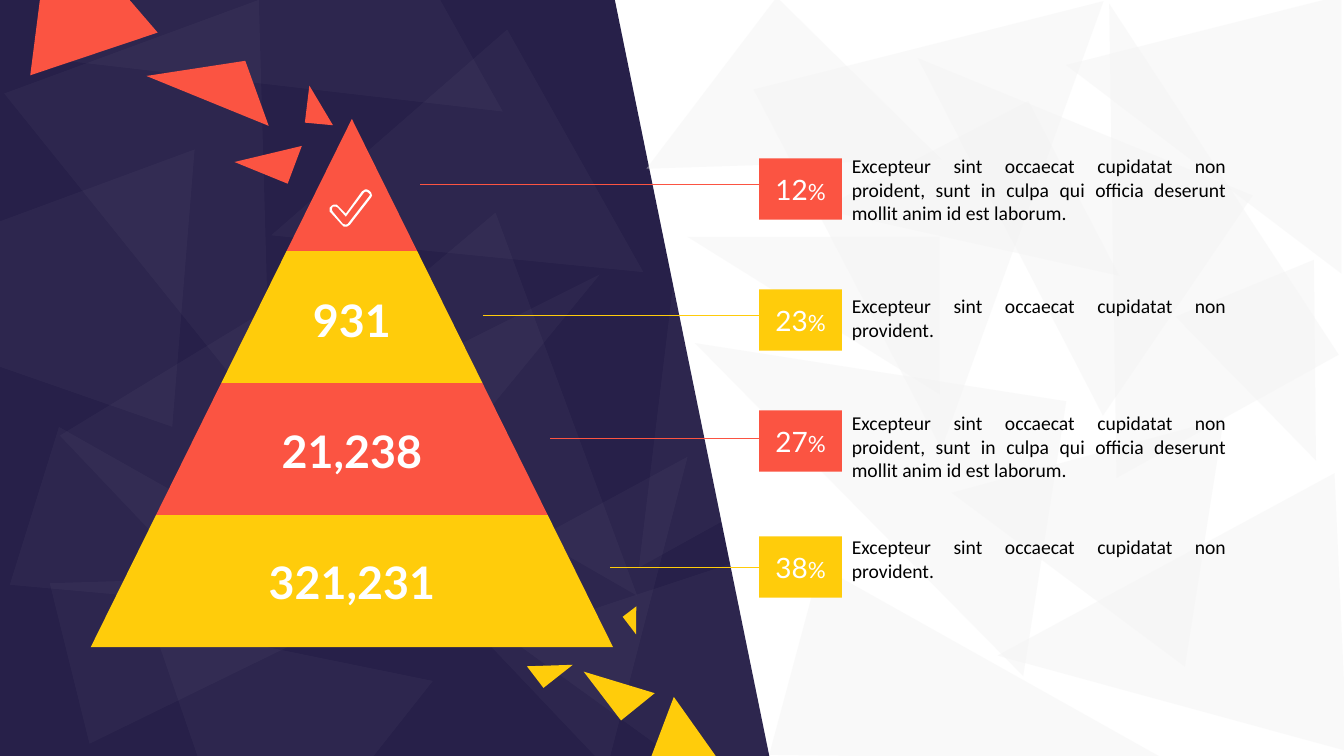
from lxml import etree
from pptx import Presentation
from pptx.dml.color import RGBColor
from pptx.enum.shapes import MSO_CONNECTOR, MSO_SHAPE
from pptx.enum.text import MSO_ANCHOR, MSO_AUTO_SIZE, PP_ALIGN
from pptx.oxml.ns import qn
from pptx.util import Inches, Pt

TRIANGLE = MSO_SHAPE.ISOSCELES_TRIANGLE
RECTANGLE = MSO_SHAPE.RECTANGLE
SLANTED_PANEL = MSO_SHAPE.FLOWCHART_MANUAL_INPUT
STRAIGHT = MSO_CONNECTOR.STRAIGHT
CENTER, JUSTIFY = PP_ALIGN.CENTER, PP_ALIGN.JUSTIFY
MIDDLE = MSO_ANCHOR.MIDDLE
GROW = MSO_AUTO_SIZE.SHAPE_TO_FIT_TEXT

COLORS = {"navy": "272049", "red": "FB5442", "yellow": "FFCC0B",
          "white": "FFFFFF", "black": "000000", "mist": "F2F2F2"}

LONG = ("Excepteur sint occaecat cupidatat non proident, sunt in culpa "
        "qui officia deserunt mollit anim id est laborum.")
SHORT = "Excepteur sint occaecat cupidatat non provident."

MIST_SHARDS = [
    (9.44, 3.91, 2.49, 2.55, 278.9, 0.54), (7.14, 3.19, 2.76, 3.73, 278.9, 1),
    (9.91, 0.24, 2.52, 4.15, 331, 0.88), (6.63, 0.47, 2.29, 2.12, 224.6, 0.88),
    (7.9, 0.39, 3.58, 3.91, 165.8, 0.74), (10.21, 4.44, 2.76, 3.42, 267.4, 0.4),
    (7.29, 1.88, 1.56, 2.5, 270, 1), (10.56, -0.03, 2.76, 2.73, 270, 0.75),
    (8.75, 5.14, 1.94, 3.81, 105, 0.5), (11.96, 2.79, 1.48, 1.85, 157.6, 0.5),
    (8.91, 0.29, 2.64, 3.51, 304.2, 0.72), (8.46, 1.43, 2.32, 1.95, 152.5, 0),
]
NAVY_SHARDS = [
    (1.34, 3.68, 1.64, 3.81, 107.3, 0.5), (1.72, 4.22, 1.64, 3.81, 76.1, 0.5),
    (0.65, 0.34, 2.69, 4, 159.8, 0.5), (1.72, 1.7, 1.64, 3.81, 46.5, 0.5),
    (4.96, 4.46, 2.42, 2.71, 46.5, 0.3), (3.71, 2.55, 2.76, 3.81, 139.8, 0.5),
    (5.89, 3.68, 2.76, 3.81, 35.8, 1), (5.24, 1.39, 2.76, 3.81, 331, 1),
    (3, 0.72, 2.76, 3.04, 240.7, 0.77), (7.29, 1.88, 1.56, 2.5, 270, 1),
    (-1.46, 0.8, 2.76, 3.81, 274.6, 0.36), (1.27, -1.07, 2.76, 3.81, 240.7, 1),
    (3.51, 1.88, 1.64, 3.81, 46.5, 0.71), (0.94, 5.84, 2.91, 2.54, 308.3, 0.56),
]
RED_SHARDS = [
    (3, 0.91, 0.37, 0.28, 96.9, 0.98), (2.38, 1.33, 0.57, 0.4, 22.2, 0.98),
    (1.5, 0.51, 1.31, 0.51, 22.2, 0.65), (0.17, -0.6, 1.66, 1.2, 97.3, 0.65),
]
YELLOW_SHARDS = [
    (5.84, 6.56, 0.61, 0.43, 52.6, 0.98), (5.88, 7.15, 1.14, 0.8, 326.3, 0.98),
    (5.32, 6.42, 0.27, 0.37, 52.6, 0.98), (6.2, 6.07, 0.22, 0.17, 52.6, 0),
]
LEVELS = [("red", None), ("yellow", "931"), ("red", "21,238"), ("yellow", "321,231")]
CALLOUTS = [
    ("red", "12", LONG, 4.17, 1.83, 1.57, 1.48, 0.81),
    ("yellow", "23", SHORT, 4.79, 3.13, 2.87, 2.87, 0.57),
    ("red", "27", LONG, 5.46, 4.35, 4.07, 4.03, 0.81),
    ("yellow", "38", SHORT, 6.05, 5.63, 5.32, 5.26, 0.57),
]
TICK_OUTER = [
    (3.64, 1.88), (3.62, 1.88), (3.59, 1.9), (3.43, 2.12), (3.36, 2.05),
    (3.34, 2.03), (3.31, 2.03), (3.29, 2.04), (3.27, 2.06), (3.27, 2.1),
    (3.29, 2.12), (3.39, 2.23), (3.41, 2.25), (3.44, 2.25), (3.47, 2.23),
    (3.68, 1.96), (3.69, 1.94), (3.68, 1.91), (3.66, 1.89),
]
TICK_INNER = [
    (3.63, 1.9), (3.65, 1.91), (3.66, 1.92), (3.67, 1.93), (3.66, 1.95),
    (3.45, 2.22), (3.43, 2.23), (3.4, 2.22), (3.3, 2.1), (3.29, 2.08),
    (3.3, 2.05), (3.33, 2.05), (3.35, 2.06), (3.43, 2.15), (3.61, 1.91),
]


def color(name):
    return RGBColor.from_string(COLORS[name])


def paint(shape, fill, opacity=100):
    shape.shadow.inherit = False
    shape.fill.solid()
    shape.fill.fore_color.rgb = color(fill)
    shape.line.fill.background()
    if opacity < 100:
        tint = shape.fill._xPr.find(f".//{qn('a:srgbClr')}")
        etree.SubElement(tint, qn("a:alpha"), val=str(opacity * 1000))


def add_block(slide, kind, left, top, width, height, fill):
    block = slide.shapes.add_shape(
        kind, Inches(left), Inches(top), Inches(width), Inches(height))
    paint(block, fill)
    return block


def add_shards(slide, shards, fill, opacity=100):
    for left, top, width, height, rotation, apex in shards:
        shard = add_block(slide, TRIANGLE, left, top, width, height, fill)
        shard.rotation = rotation
        shard.adjustments[0] = apex
        paint(shard, fill, opacity)


def add_outline(slide, contours, fill):
    contours = [[(Inches(x), Inches(y)) for x, y in points] for points in contours]
    builder = slide.shapes.build_freeform(*contours[0][0])
    builder.add_line_segments(contours[0][1:], close=True)
    for points in contours[1:]:
        builder.move_to(*points[0])
        builder.add_line_segments(points[1:], close=True)
    paint(builder.convert_to_shape(), fill)


def add_run(paragraph, text, size, font, fill, bold=False):
    run = paragraph.add_run()
    run.text = text
    run.font.size = Pt(size)
    run.font.name = font
    run.font.bold = bold
    run.font.color.rgb = color(fill)


def add_label(slide, left, top, width, height, text, align, *style):
    frame = slide.shapes.add_textbox(
        Inches(left), Inches(top), Inches(width), Inches(height)).text_frame
    frame.word_wrap = True
    frame.auto_size = GROW
    paragraph = frame.paragraphs[0]
    paragraph.alignment = align
    paragraph.space_after = Pt(6)
    add_run(paragraph, text, *style)


def add_leader(slide, start, end, y, stroke):
    leader = slide.shapes.add_connector(
        STRAIGHT, Inches(start), Inches(y), Inches(end), Inches(y))
    leader.line.color.rgb = color(stroke)
    leader.line.width = Pt(0.5)
    etree.SubElement(leader._element.spPr, qn("a:effectLst"))


def add_pyramid(slide):
    center, apex, step, spread = 3.49, 1.18, 1.31, 5.18 / 8
    for i, (fill, count) in enumerate(LEVELS):
        top, bottom = apex + i * step, apex + (i + 1) * step
        upper, lower = i * spread, (i + 1) * spread
        add_outline(slide, [[(center - lower, bottom), (center - upper, top),
                             (center + upper, top), (center + lower, bottom)]], fill)
        if count:
            add_label(slide, 2.13, 1.55 + 1.3 * i, 2.72, 0.64, count, CENTER,
                      32, "Lato", "white", True)
    add_outline(slide, [TICK_OUTER, TICK_INNER], "white")


def add_callout(slide, fill, share, text, start, y, badge_top, text_top, text_height):
    add_leader(slide, start, 8.11, y, fill)
    badge = add_block(slide, RECTANGLE, 7.53, badge_top, 0.82, 0.61, fill)
    badge.text_frame.vertical_anchor = MIDDLE
    paragraph = badge.text_frame.paragraphs[0]
    paragraph.alignment = CENTER
    add_run(paragraph, share, 20, "Lato", "white")
    add_run(paragraph, "%", 16, "Lato", "white")
    add_label(slide, 8.35, text_top, 3.91, text_height, text, JUSTIFY,
              14, "Calibri", "black")


def main():
    deck = Presentation()
    deck.slide_width, deck.slide_height = Inches(13.33), Inches(7.5)
    slide = deck.slides.add_slide(deck.slide_layouts[6])
    panel = add_block(slide, SLANTED_PANEL, 0.05, -0.08, 7.5, 7.66, "navy")
    panel.rotation = 90
    add_shards(slide, MIST_SHARDS, "mist", 42)
    add_shards(slide, NAVY_SHARDS, "white", 3)
    add_pyramid(slide)
    for callout in CALLOUTS:
        add_callout(slide, *callout)
    add_shards(slide, RED_SHARDS, "red")
    add_shards(slide, YELLOW_SHARDS, "yellow")
    deck.save("out.pptx")


if __name__ == "__main__":
    main()
